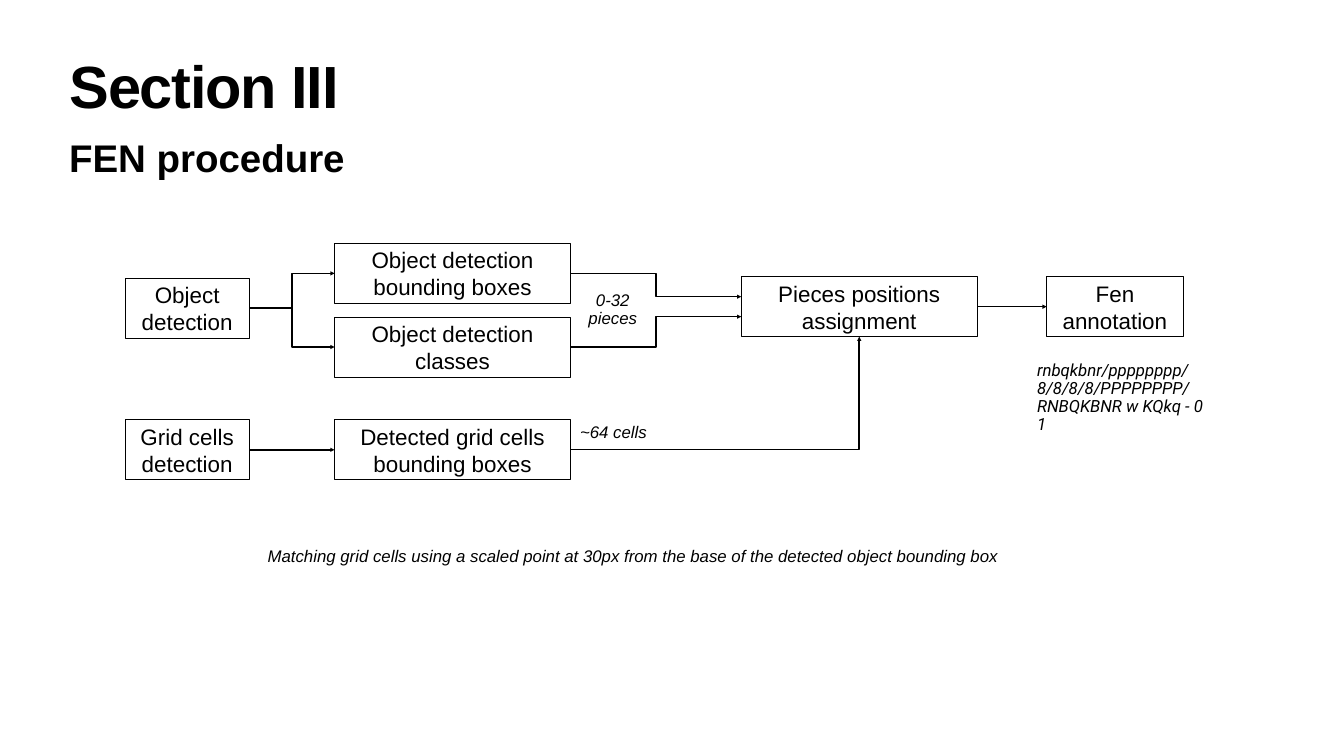
from lxml import etree
from pptx import Presentation
from pptx.dml.color import RGBColor
from pptx.enum.shapes import MSO_CONNECTOR, MSO_SHAPE
from pptx.enum.text import MSO_ANCHOR, PP_ALIGN
from pptx.oxml.ns import qn
from pptx.util import Inches, Pt

BLACK = RGBColor(0, 0, 0)
WHITE = RGBColor(255, 255, 255)
RECTANGLE = MSO_SHAPE.RECTANGLE
STRAIGHT, ELBOW = MSO_CONNECTOR.STRAIGHT, MSO_CONNECTOR.ELBOW
TOP, MIDDLE = MSO_ANCHOR.TOP, MSO_ANCHOR.MIDDLE
LEFT, CENTER = PP_ALIGN.LEFT, PP_ALIGN.CENTER

SLIDE_W, SLIDE_H = 26.67, 15
STEP_H = 1.19
COLUMNS = {"detect": (2.48, 2.47), "result": (6.64, 4.68),
           "assign": (14.71, 4.68), "fen": (20.77, 2.71)}
ROWS = {"boxes": 4.83, "main": 5.49, "object": 5.52, "classes": 6.29, "grid": 8.33}
STEPS = [
    ("detect", "object", "Object detection"),
    ("detect", "grid", "Grid cells detection"),
    ("result", "boxes", "Object detection bounding boxes"),
    ("result", "classes", "Object detection classes"),
    ("result", "grid", "Detected grid cells bounding boxes"),
    ("assign", "main", "Pieces positions assignment"),
    ("fen", "main", "Fen annotation"),
]

HEADING = {"name": "Arial", "bold": True}
STEP_FONT = {"name": "Arial", "size": Pt(32)}
NOTE_FONT = {"name": "Arial", "size": Pt(24), "italic": True}
FEN_FONT = NOTE_FONT | {"name": "Roboto"}


def write(shape, text, font, align=LEFT, anchor=TOP, spacing=1.0, insets=(0.06, 0.06)):
    """Fill a shape with one formatted paragraph."""
    frame = shape.text_frame
    side, edge = map(Inches, insets)
    frame_format = {"word_wrap": True, "vertical_anchor": anchor,
                    "margin_left": side, "margin_right": side,
                    "margin_top": edge, "margin_bottom": edge}
    for attribute, value in frame_format.items():
        setattr(frame, attribute, value)
    paragraph = frame.paragraphs[0]
    paragraph.alignment = align
    paragraph.line_spacing = spacing
    run = paragraph.add_run()
    run.text = text
    for attribute, value in font.items():
        setattr(run.font, attribute, value)
    run.font.color.rgb = BLACK
    return run


def add_text(slide, area, text, font, **layout):
    """Place a text box on the slide and return its run."""
    box = slide.shapes.add_textbox(*map(Inches, area))
    return write(box, text, font, **layout)


def add_step(slide, column, row, text):
    """Draw one outlined step of the procedure."""
    left, width = COLUMNS[column]
    area = map(Inches, (left, ROWS[row], width, STEP_H))
    step = slide.shapes.add_shape(RECTANGLE, *area)
    step.shadow.inherit = False
    step.fill.solid()
    step.fill.fore_color.rgb = WHITE
    step.line.color.rgb = BLACK
    step.line.width = Pt(1)
    write(step, text, STEP_FONT, align=CENTER, anchor=MIDDLE)


def exit_point(column, row):
    """Return the middle of a step's right side."""
    left, width = COLUMNS[column]
    return left + width, ROWS[row] + STEP_H / 2


def entry_point(column, row, share=0.5):
    """Return a point on a step's left side, at a share of its height."""
    return COLUMNS[column][0], ROWS[row] + STEP_H * share


def add_arrow(slide, start, end, kind=STRAIGHT, preset=None):
    """Draw an arrow between two points."""
    arrow = slide.shapes.add_connector(kind, *map(Inches, start + end))
    arrow.line.color.rgb = BLACK
    arrow.line.width = Pt(2)
    properties = arrow._element.spPr
    if preset:
        properties.find(qn("a:prstGeom")).set("prst", preset)
    etree.SubElement(arrow.line._get_or_add_ln(), qn("a:tailEnd"), type="triangle")
    etree.SubElement(properties, qn("a:effectLst"))


def add_flow(slide):
    """Link the steps of the procedure."""
    objects, grid = exit_point("detect", "object"), exit_point("detect", "grid")
    for row, share in (("boxes", 1 / 3), ("classes", 2 / 3)):
        add_arrow(slide, objects, entry_point("result", row), ELBOW)
        add_arrow(slide, exit_point("result", row),
                  entry_point("assign", "main", share), ELBOW)
    add_arrow(slide, grid, entry_point("result", "grid"))
    add_arrow(slide, exit_point("assign", "main"), entry_point("fen", "main"))
    left, width = COLUMNS["assign"]
    assign_base = (left + width / 2, ROWS["main"] + STEP_H)
    add_arrow(slide, exit_point("result", "grid"), assign_base, ELBOW, "bentConnector2")


def main():
    """Build the slide and save it."""
    deck = Presentation()
    deck.slide_width, deck.slide_height = Inches(SLIDE_W), Inches(SLIDE_H)
    slide = deck.slides.add_slide(deck.slide_layouts[6])

    title = add_text(slide, (1.32, 1.18, 24.03, 1.57), "Section III",
                     HEADING | {"size": Pt(85)}, spacing=0.8)
    title._r.get_or_add_rPr().set("spc", "-170")
    add_text(slide, (1.32, 2.6, 24.03, 1.02), "FEN procedure",
             HEADING | {"size": Pt(55)}, insets=(0.05, 0.05))

    for column, row, text in STEPS:
        add_step(slide, column, row, text)
    add_flow(slide)

    add_text(slide, (20.48, 7.13, 3.61, 1.19),
             "rnbqkbnr/pppppppp/8/8/8/8/PPPPPPPP/RNBQKBNR w KQkq - 0 1",
             FEN_FONT, spacing=0.9, insets=(0.1, 0.05))
    notes = [
        ((11.38, 5.8, 1.56, 0.71), "0-32 pieces", CENTER),
        ((11.45, 8.23, 1.63, 0.71), "~64 cells", LEFT),
        ((5.25, 10.29, 15.06, 1.52), "Matching grid cells using a scaled point at 30px "
         "from the base of the detected object bounding box", LEFT),
    ]
    for area, text, align in notes:
        add_text(slide, area, text, NOTE_FONT, align=align, anchor=MIDDLE, spacing=0.9)

    deck.save("out.pptx")


if __name__ == "__main__":
    main()
